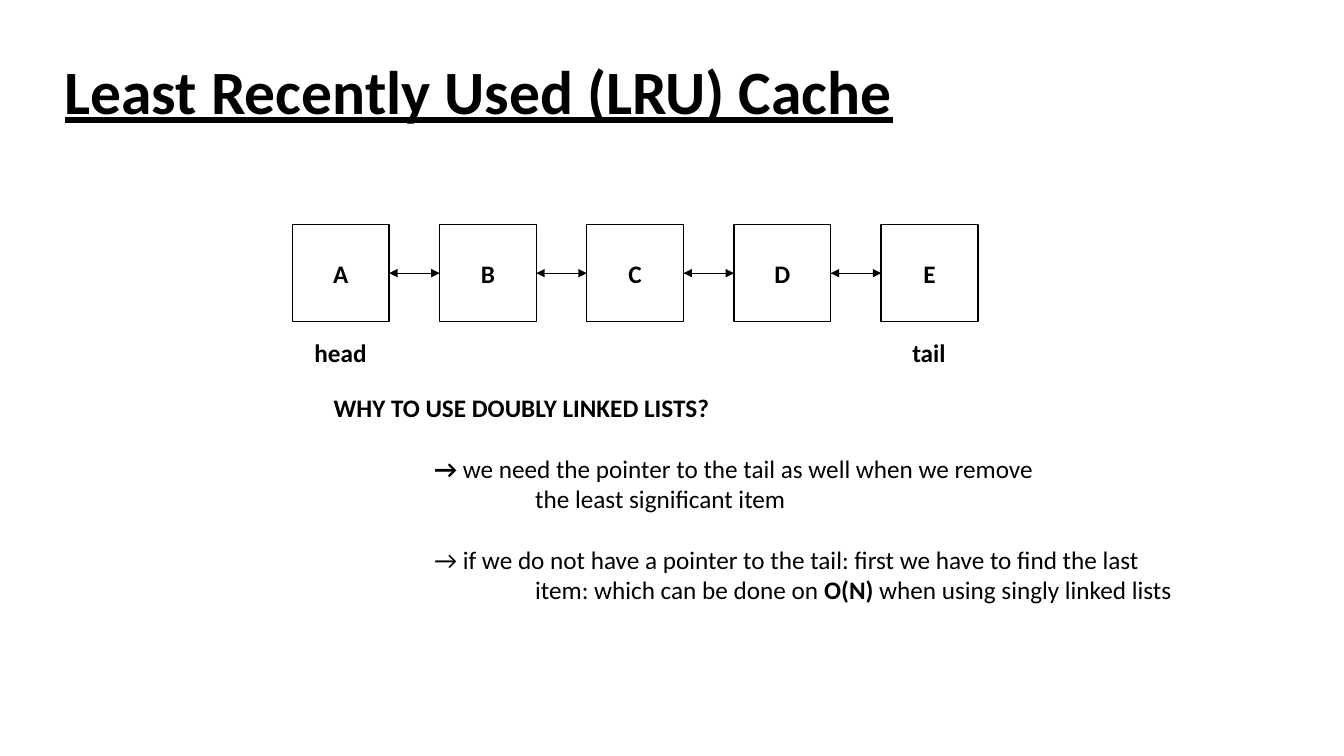
from lxml.etree import SubElement
from pptx import Presentation
from pptx.dml.color import RGBColor
from pptx.enum.shapes import MSO_CONNECTOR, MSO_SHAPE
from pptx.enum.text import MSO_ANCHOR, MSO_AUTO_SIZE, PP_ALIGN
from pptx.oxml.ns import qn
from pptx.util import Inches, Pt

BLACK, WHITE = "000000", "FFFFFF"
LEFT, RIGHT = 1, 3  # connection sites of a rectangle


def rgb(value):
    return RGBColor.from_string(value)


class Deck:
    font = "Calibri"
    size = 18

    def __init__(self, width, height):
        self.prs = Presentation()
        self.prs.slide_width, self.prs.slide_height = Inches(width), Inches(height)
        self.s = self.prs.slides.add_slide(self.prs.slide_layouts[5])

    def run(self, p, text, bold=False, size=None, underline=None):
        r = p.add_run()
        r.text = text
        f = r.font
        f.name, f.size, f.bold, f.underline = self.font, Pt(size or self.size), bold, underline
        f.color.rgb = rgb(BLACK)

    def title(self, text, x, y, w, h):
        sp = self.s.shapes.title
        sp.left, sp.top, sp.width, sp.height = map(Inches, (x, y, w, h))
        tf = sp.text_frame
        tf.word_wrap, tf.auto_size = True, MSO_AUTO_SIZE.NONE
        tf.vertical_anchor = MSO_ANCHOR.MIDDLE
        p = tf.paragraphs[0]
        p.alignment, p.line_spacing = PP_ALIGN.LEFT, 0.9
        self.run(p, text, bold=True, size=44, underline=True)

    def node(self, text, x, y, side):
        sp = self.s.shapes.add_shape(MSO_SHAPE.RECTANGLE, *map(Inches, (x, y, side, side)))
        sp.shadow.inherit = False
        sp.fill.solid()
        sp.fill.fore_color.rgb = rgb(WHITE)
        sp.line.color.rgb = rgb(BLACK)
        sp.line.width = Pt(1)
        sp.text_frame.vertical_anchor = MSO_ANCHOR.MIDDLE
        p = sp.text_frame.paragraphs[0]
        p.alignment = PP_ALIGN.CENTER
        self.run(p, text, bold=True)
        return sp

    def arrow(self, start, start_site, end, end_site):
        """Join two nodes with an arrow pointing at the second."""
        c = self.s.shapes.add_connector(MSO_CONNECTOR.STRAIGHT, 0, 0, 0, 0)
        c.begin_connect(start, start_site)
        c.end_connect(end, end_site)
        c.line.color.rgb = rgb(BLACK)
        c.line.width = Pt(0.5)
        SubElement(c.line._get_or_add_ln(), qn("a:tailEnd"), type="triangle")
        SubElement(c._element.spPr, qn("a:effectLst"))

    def text(self, x, y, w, h, wrap=False):
        tf = self.s.shapes.add_textbox(*map(Inches, (x, y, w, h))).text_frame
        tf.word_wrap = wrap
        return tf

    def label(self, text, x, y, w, h):
        self.run(self.text(x, y, w, h).paragraphs[0], text, bold=True)

    def point(self, tf, lines):
        """Add a hanging paragraph; each line is a list of (text, bold) runs."""
        p = tf.add_paragraph()
        pPr = p._p.get_or_add_pPr()
        pPr.set("marL", str(Inches(2)))
        pPr.set("indent", str(Inches(-1)))
        p.space_before = Pt(22)
        for i, line in enumerate(lines):
            if i:
                p.add_line_break()
            for text, bold in line:
                self.run(p, text, bold)


def main():
    deck = Deck(13.33, 7.5)
    deck.title("Least Recently Used (LRU) Cache", 0.54, 0.21, 11.5, 1.45)

    nodes = [deck.node(name, 2.9 + 1.46 * i, 2.23, 0.96) for i, name in enumerate("ABCDE")]
    for before, after in zip(nodes, nodes[1:]):
        deck.arrow(before, RIGHT, after, LEFT)
        deck.arrow(after, LEFT, before, RIGHT)
    deck.label("head", 3.02, 3.3, 0.72, 0.4)
    deck.label("tail", 8.95, 3.3, 0.53, 0.4)

    tf = deck.text(3.21, 3.84, 8.72, 2.22, wrap=True)
    deck.run(tf.paragraphs[0], "WHY TO USE DOUBLY LINKED LISTS?", bold=True)
    deck.point(tf, [
        [("→ ", True), ("we need the pointer to the tail as well when we remove", False)],
        [("the least significant item", False)],
    ])
    deck.point(tf, [
        [("→ if we do not have a pointer to the tail: first we have to find the last", False)],
        [("item: which can be done on ", False), ("O(N)", True),
         (" when using singly linked lists", False)],
    ])
    deck.prs.save("out.pptx")


if __name__ == "__main__":
    main()
